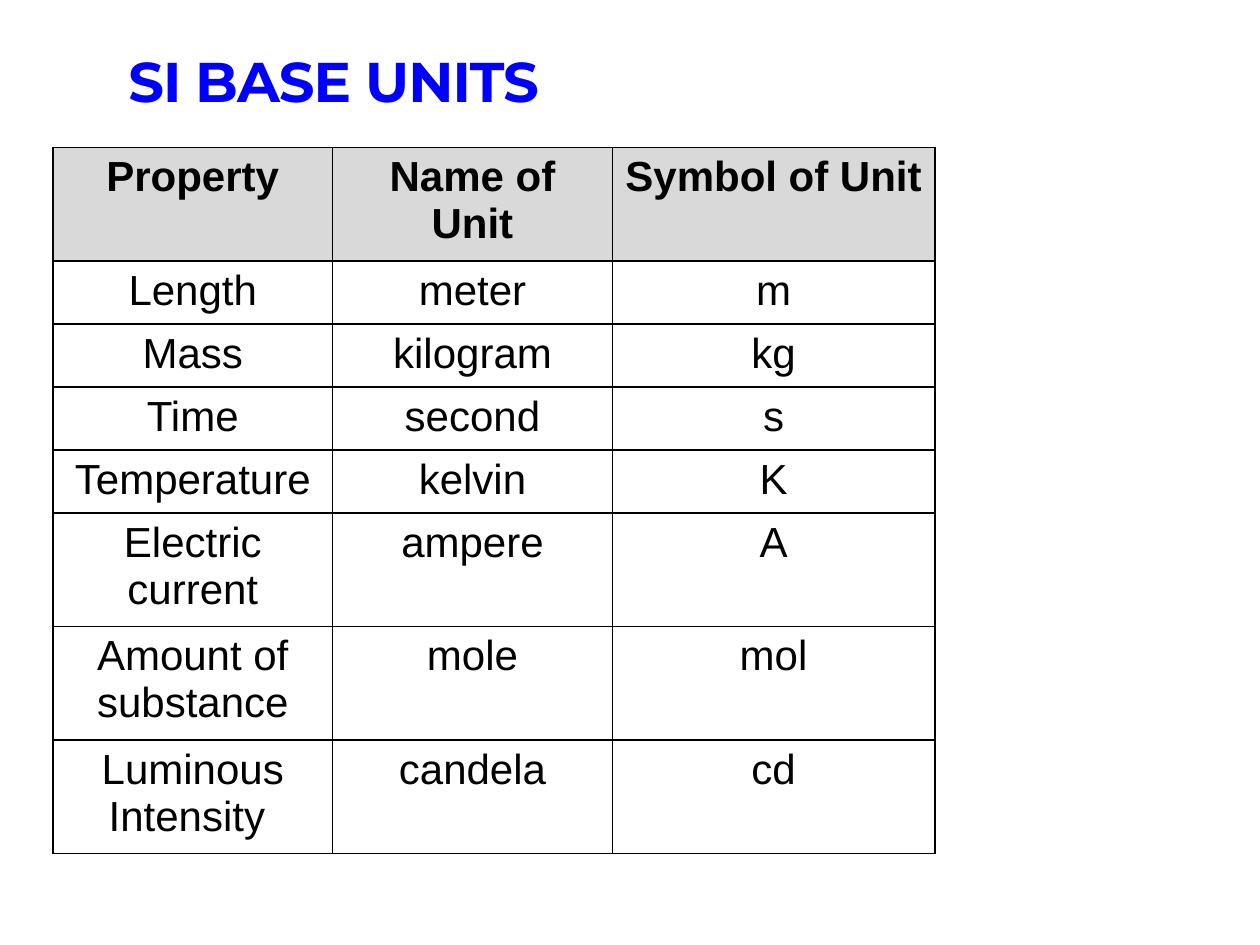
import pptx
import pptx.util
import pptx.dml.color
import pptx.enum.text
import pptx.oxml
import pptx.oxml.ns
from pptx.util import Inches

BLUE = pptx.dml.color.RGBColor(0x00, 0x00, 0xFF)
BLACK = pptx.dml.color.RGBColor(0x00, 0x00, 0x00)
GREY = pptx.dml.color.RGBColor(0xD9, 0xD9, 0xD9)

UNITS = [
    ("Property", "Name of Unit", "Symbol of Unit"),
    ("Length", "meter", "m"),
    ("Mass", "kilogram", "kg"),
    ("Time", "second", "s"),
    ("Temperature", "kelvin", "K"),
    ("Electric current", "ampere", "A"),
    ("Amount of substance", "mole", "mol"),
    ("Luminous Intensity ", "candela", "cd"),
]
COLUMN_WIDTHS = [2.22, 2.22, 2.56]
ROW_HEIGHTS = [0.9] + [0.5] * 4 + [0.9] * 3


def set_font(font, name, size, color, bold):
    font.name = name
    font.size = pptx.util.Pt(size)
    font.color.rgb = color
    font.bold = bold


def add_borders(cell):
    """Give the cell a 1 pt black line on every side; call before filling."""
    tcPr = cell._tc.get_or_add_tcPr()
    for side in ("lnL", "lnR", "lnT", "lnB"):
        tcPr.append(pptx.oxml.parse_xml(
            f'<a:{side} {pptx.oxml.ns.nsdecls("a")} w="12700"><a:solidFill>'
            f'<a:srgbClr val="{BLACK}"/></a:solidFill></a:{side}>'))


def add_title(slide, left, top, width, height):
    tf = slide.shapes.add_textbox(left, top, width, height).text_frame
    tf.word_wrap = True
    tf.vertical_anchor = pptx.enum.text.MSO_ANCHOR.BOTTOM
    tf.margin_bottom = Inches(0.02)
    p = tf.paragraphs[0]
    r = p.add_run()
    r.text = "SI BASE UNITS"
    set_font(p.font, "Montserrat", 32, BLUE, True)
    # Slightly tightened letter spacing
    r._r.get_or_add_rPr().set("spc", "-60")


def add_unit_table(slide, left, top, width, height):
    table = slide.shapes.add_table(
        len(UNITS), len(COLUMN_WIDTHS), left, top, width, height).table
    for column, share in zip(table.columns, COLUMN_WIDTHS):
        column.width = int(width * share / sum(COLUMN_WIDTHS))
    for row, share in zip(table.rows, ROW_HEIGHTS):
        row.height = int(height * share / sum(ROW_HEIGHTS))

    for i, values in enumerate(UNITS):
        header = i == 0
        for j, value in enumerate(values):
            cell = table.cell(i, j)
            add_borders(cell)
            if header:
                cell.fill.solid()
                cell.fill.fore_color.rgb = GREY
            else:
                cell.fill.background()
            cell.text = value
            p = cell.text_frame.paragraphs[0]
            p.alignment = pptx.enum.text.PP_ALIGN.CENTER
            set_font(p.font, "Arial", 24, BLACK, header)


def main():
    prs = pptx.Presentation()
    prs.slide_width = Inches(10)
    prs.slide_height = Inches(7.5)
    s = prs.slides.add_slide(prs.slide_layouts[6])
    # Heading
    add_title(s, Inches(0.92), Inches(-0.16), Inches(9), Inches(1.08))
    # Table of units
    add_unit_table(s, Inches(0.42), Inches(1.17), Inches(7), Inches(5.6))
    prs.save("out.pptx")


if __name__ == "__main__":
    main()
